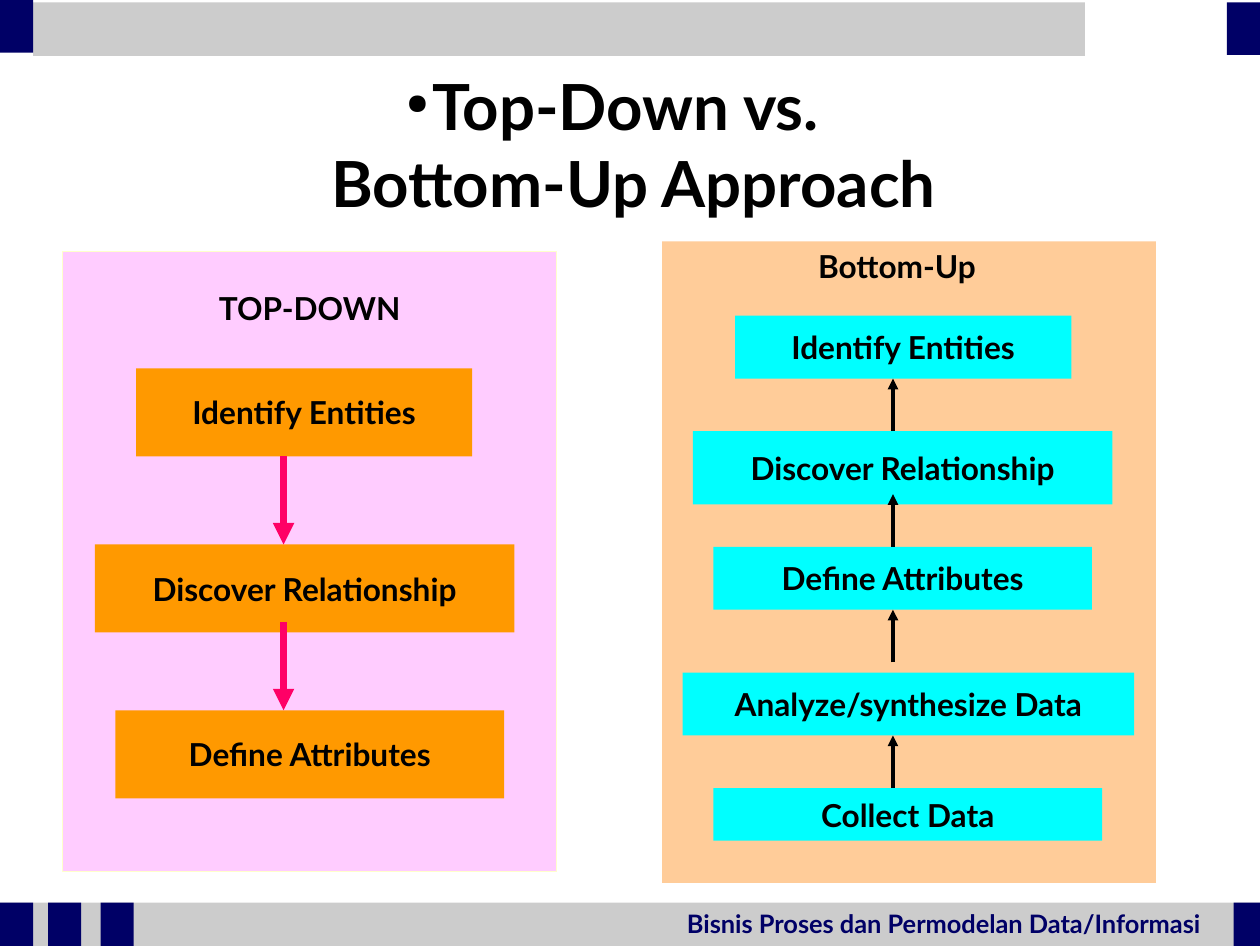
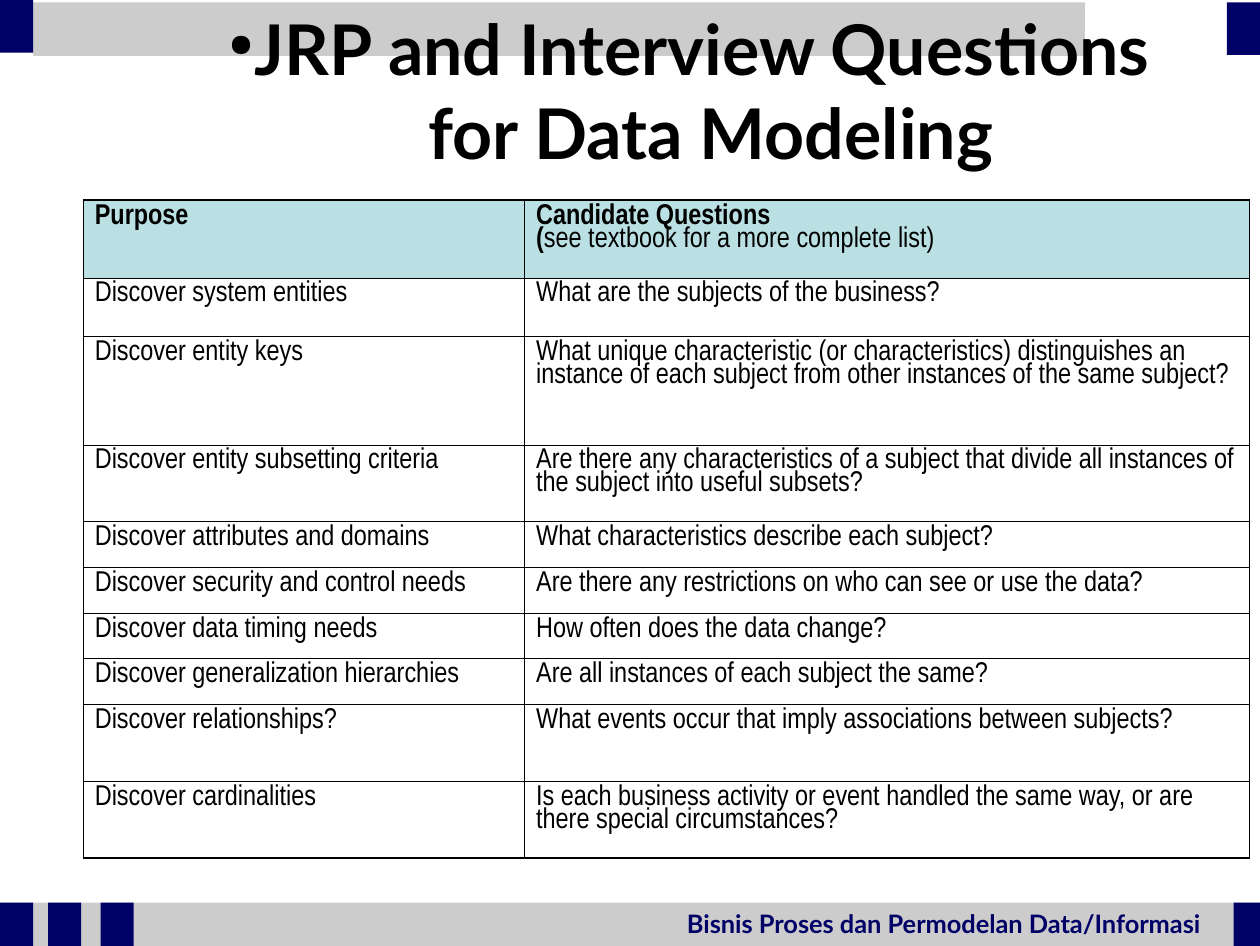
import pptx
import pptx.util
import pptx.dml.color
import pptx.enum.shapes
import pptx.enum.text
import pptx.oxml
from dataclasses import dataclass
from lxml import etree
from pptx.util import Inches

ALIGN = pptx.enum.text.PP_ALIGN
ANCHOR = pptx.enum.text.MSO_ANCHOR
A = "http://schemas.openxmlformats.org/drawingml/2006/main"


@dataclass(frozen=True)
class Theme:
    black: str = "000000"
    white: str = "FFFFFF"
    navy: str = "000066"
    grey: str = "CCCCCC"
    pink: str = "FFCCFF"
    cream: str = "FFFFCC"
    orange: str = "FF9900"
    magenta: str = "FF0066"
    peach: str = "FFCC99"
    cyan: str = "00FFFF"
    header: str = "BBE0E3"
    font: str = "Lato"
    table_font: str = "Arial Narrow"
    title_size: float = 40
    large_title_size: float = 44
    box_size: float = 19.9
    cell_size: float = 18
    footer_size: float = 16


T = Theme()


def rgb(color):
    return pptx.dml.color.RGBColor.from_string(color)


def xml(parent, tag, **attrs):
    return etree.SubElement(parent, f"{{{A}}}{tag}", attrs)


def write(tf, text, size, font=T.font, color=T.black, bold=True, align=None,
          anchor=ANCHOR.TOP, wrap=True, spacing=None, bullet=False):
    tf.word_wrap = wrap
    tf.vertical_anchor = anchor
    p = tf.paragraphs[0]
    p.alignment = align
    if spacing:
        p.line_spacing = spacing
    if bullet:
        pPr = p._p.get_or_add_pPr()
        hang = Inches(0.23)
        pPr.set("marL", str(hang))
        pPr.set("indent", str(-hang))
        xml(xml(pPr, "buClr"), "srgbClr", val=T.black)
        xml(pPr, "buSzPct", val="45000")
        xml(pPr, "buChar", char="●")
    runs = [(text, bold)] if isinstance(text, str) else text
    for run_text, run_bold in runs:
        for i, line in enumerate(run_text.split("\n")):
            if i:
                p.add_line_break()
            r = p.add_run()
            r.text = line
            r.font.size = pptx.util.Pt(size)
            r.font.name = font
            r.font.bold = run_bold
            r.font.color.rgb = rgb(color)


class Deck:
    def __init__(self):
        self.prs = pptx.Presentation()
        self.prs.slide_width = Inches(11.02)
        self.prs.slide_height = Inches(8.27)
        self.s = None

    def slide(self):
        self.s = self.prs.slides.add_slide(self.prs.slide_layouts[6])
        self.rect(0, 7.89, 11.02, 0.38, T.grey)
        self.text(5.91, 7.89, 4.72, 0.36, "Bisnis Proses dan Permodelan Data/Informasi",
                  size=T.footer_size, color=T.navy)
        self.rect(10.79, 7.89, 0.23, 0.38, T.navy)
        for x in (0, 0.42, 0.88):
            self.rect(x, 7.89, 0.29, 0.38, T.navy)
        self.rect(0.29, 0.02, 9.2, 0.47, T.grey)
        self.rect(10.73, 0.02, 0.29, 0.46, T.navy)
        self.rect(0, 0, 0.29, 0.46, T.navy)

    def rect(self, x, y, w, h, fill, line=None):
        sp = self.s.shapes.add_shape(pptx.enum.shapes.MSO_SHAPE.RECTANGLE,
                                     Inches(x), Inches(y), Inches(w), Inches(h))
        sp.shadow.inherit = False
        sp.fill.solid()
        sp.fill.fore_color.rgb = rgb(fill)
        if line:
            sp.line.color.rgb = rgb(line)
            sp.line.width = pptx.util.Pt(0.75)
        else:
            sp.line.fill.background()
        return sp

    def text(self, x, y, w, h, text, **fmt):
        sp = self.s.shapes.add_textbox(Inches(x), Inches(y), Inches(w), Inches(h))
        write(sp.text_frame, text, **fmt)

    def title(self, x, y, w, text, size=T.title_size, anchor=ANCHOR.BOTTOM):
        self.text(x, y, w, 1.38, text, size=size, anchor=anchor,
                  align=ALIGN.CENTER, bullet=True)

    def heading(self, x, y, w, text):
        self.text(x, y, w, 0.43, text, size=T.box_size, align=ALIGN.CENTER)

    def box(self, x, y, w, h, text, fill):
        sp = self.rect(x, y, w, h, fill)
        write(sp.text_frame, text, size=T.box_size, align=ALIGN.CENTER,
              anchor=ANCHOR.MIDDLE, wrap=False)

    def arrow(self, x, y1, y2, color, width):
        sp = self.s.shapes.add_connector(pptx.enum.shapes.MSO_CONNECTOR.STRAIGHT,
                                         Inches(x), Inches(y1), Inches(x), Inches(y2))
        sp.line.color.rgb = rgb(color)
        sp.line.width = pptx.util.Pt(width)
        xml(sp.line._get_or_add_ln(), "tailEnd", type="triangle")
        xml(sp._element.spPr, "effectLst")

    def borders(self, cell, outer):
        tcPr = cell._tc.get_or_add_tcPr()
        for i, side in enumerate(("lnL", "lnR", "lnT", "lnB")):
            width = pptx.util.Pt(1.08 if side in outer else 0.45)
            ln = etree.Element(f"{{{A}}}{side}", w=str(int(width)))
            xml(xml(ln, "solidFill"), "srgbClr", val=T.black)
            tcPr.insert(i, ln)

    def table(self, x, y, cols, heights, rows):
        tbl = self.s.shapes.add_table(len(rows), len(cols), Inches(x), Inches(y),
                                      Inches(sum(cols)), Inches(sum(heights))).table
        tbl.first_row = tbl.horz_banding = False
        for c, w in enumerate(cols):
            tbl.columns[c].width = Inches(w)
        for i, (h, row) in enumerate(zip(heights, rows)):
            tbl.rows[i].height = Inches(h)
            for c, text in enumerate(row):
                cell = tbl.cell(i, c)
                cell.fill.solid()
                cell.fill.fore_color.rgb = rgb(T.white if i else T.header)
                write(cell.text_frame, text, size=T.cell_size, font=T.table_font,
                      bold=i == 0, spacing=0.85)
                outer = {"lnL" if c == 0 else "lnR"}
                if i == 0:
                    outer.add("lnT")
                if i == len(rows) - 1:
                    outer.add("lnB")
                self.borders(cell, outer)


def approach_slide(d):
    d.slide()
    d.title(0.74, 0.59, 9.37, "Top-Down vs. \nBottom-Up Approach")

    d.rect(0.55, 2.2, 4.32, 5.42, T.pink, T.cream)
    for x, y, w, text in ((1.19, 3.22, 2.94, "Identify Entities"),
                          (0.83, 4.76, 3.67, "Discover Relationship"),
                          (1.01, 6.21, 3.4, "Define Attributes")):
        d.box(x, y, w, 0.77, text, T.orange)
    for y in (4.76, 6.21):
        d.arrow(2.48, y - 0.77, y, T.magenta, 4.5)

    d.rect(5.79, 2.11, 4.32, 5.61, T.peach)
    for x, y, w, h, text in ((6.43, 2.76, 2.94, 0.55, "Identify Entities"),
                             (6.06, 3.77, 3.67, 0.64, "Discover Relationship"),
                             (6.24, 4.78, 3.31, 0.55, "Define Attributes"),
                             (5.97, 5.88, 3.95, 0.55, "Analyze/synthesize Data"),
                             (6.24, 6.89, 3.4, 0.46, "Collect Data")):
        d.box(x, y, w, h, text, T.cyan)
    for y in (6.89, 5.79, 4.78, 3.77):
        d.arrow(7.81, y, y - 0.46, T.black, 2.25)

    d.heading(1.01, 2.48, 3.4, "TOP-DOWN")
    d.heading(6.24, 2.11, 3.21, "Bottom-Up")


def questions_slide(d):
    d.slide()
    d.title(1.19, 0.09, 9.83, "JRP and Interview Questions \nfor Data Modeling",
            size=T.large_title_size, anchor=ANCHOR.MIDDLE)
    rows = [
        ("Purpose", [("Candidate Questions \n(", True),
                     ("see textbook for a more complete list)", False)]),
        ("Discover system entities", "What are the subjects of the business?"),
        ("Discover entity keys",
         "What unique characteristic (or characteristics) distinguishes an instance "
         "of each subject from other instances of the same subject?"),
        ("Discover entity subsetting criteria",
         "Are there any characteristics of a subject that divide all instances of "
         "the subject into useful subsets?"),
        ("Discover attributes and domains", "What characteristics describe each subject?"),
        ("Discover security and control needs",
         "Are there any restrictions on who can see or use the data?"),
        ("Discover data timing needs", "How often does the data change?"),
        ("Discover generalization hierarchies",
         "Are all instances of each subject the same?"),
        ("Discover relationships?",
         "What events occur that imply associations between subjects?"),
        ("Discover cardinalities",
         "Is each business activity or event handled the same way, or are there "
         "special circumstances?"),
    ]
    heights = [0.68, 0.51, 0.95, 0.67] + [0.4] * 4 + [0.67, 0.67]
    d.table(0.73, 1.75, (3.86, 6.34), heights, rows)


def main():
    d = Deck()
    approach_slide(d)
    questions_slide(d)
    d.prs.save("out.pptx")


if __name__ == "__main__":
    main()
